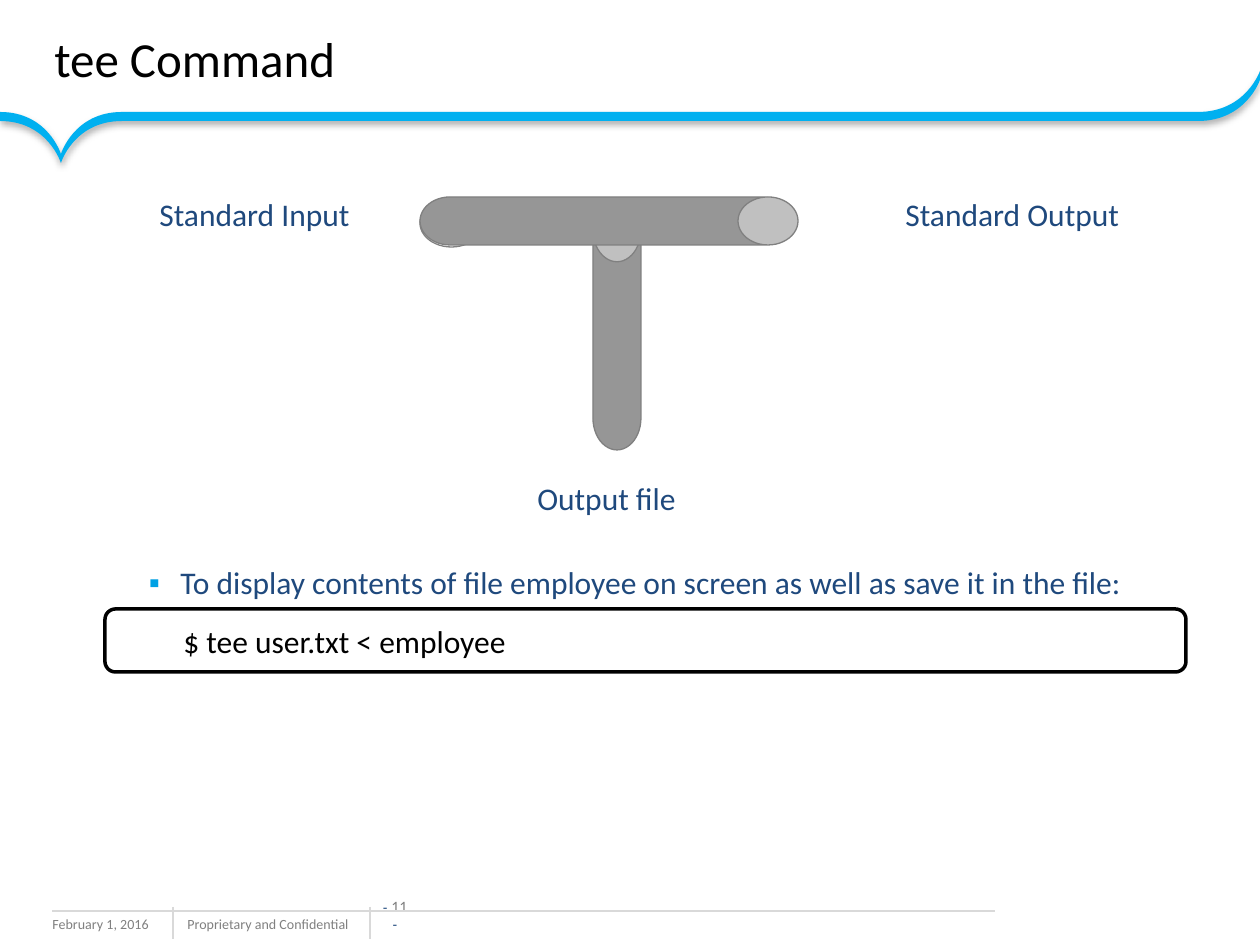
from lxml import etree
from pptx import Presentation
from pptx import util as u
from pptx.dml.color import RGBColor
from pptx.enum import shapes, text
from pptx.oxml.ns import qn

PX = 914400 / 126
THEME = {
    "black": "000000", "white": "FFFFFF", "navy": "1F497D", "sky": "00B0F0",
    "bullet": "00A1E4", "gray": "808080", "rule": "D9D9D9", "pipe": "969696",
    "title": 28, "body": 18, "page": 9, "footer": 8,
}
INDENT = 63


def px(*lengths):
    return [u.Emu(round(length * PX)) for length in lengths]


def write(shape, runs, anchor=text.MSO_ANCHOR.TOP, indent=0):
    """Fill a shape's first paragraph; each run is (words, size, colour, font)."""
    frame = shape.text_frame
    frame.word_wrap = True
    frame.vertical_anchor = anchor
    paragraph = frame.paragraphs[0]
    paragraph.alignment = text.PP_ALIGN.LEFT
    if indent:
        paragraph._p.get_or_add_pPr().set("marL", str(px(indent)[0]))
    for words, size, color, font in runs:
        run = paragraph.add_run()
        run.text = words
        run.font.name = font
        run.font.size = u.Pt(THEME[size])
        run.font.color.rgb = RGBColor.from_string(THEME[color])
    return paragraph


presentation = Presentation()
presentation.slide_width, presentation.slide_height = px(1260, 945)
slide = presentation.slides.add_slide(presentation.slide_layouts[6])
canvas = slide.shapes

# Footer
for words, left, width in [("February 1, 2016", 40, 168),
                           ("Proprietary and Confidential", 175, 198)]:
    box = canvas.add_textbox(*px(left, 909, width, 31))
    write(box, [(words, "footer", "gray", "Calibri")])

page = canvas.add_textbox(*px(379, 913, 32, 19))
frame = page.text_frame
frame.margin_left = frame.margin_right = frame.margin_top = frame.margin_bottom = 0
paragraph = write(page, [("- ", "footer", "navy", "Arial"),
                         ("11 ", "page", "gray", "Calibri"),
                         ("-", "footer", "navy", "Arial")], text.MSO_ANCHOR.BOTTOM)
paragraph.alignment = text.PP_ALIGN.CENTER

for ends in [(173, 907, 173, 939), (370, 907, 370, 939), (995, 911, 52, 911)]:
    rule = canvas.add_connector(shapes.MSO_CONNECTOR.STRAIGHT, *px(*ends))
    rule.line.color.rgb = RGBColor.from_string(THEME["rule"])
    rule.line.width = u.Pt(0.75)
    etree.SubElement(rule._element.spPr, qn("a:effectLst"))

# Header ribbon: one curved edge from left to right, repeated lower down.
# Every three points after the first make one cubic curve.
THICKNESS = 9
edge = [(0, 112), (48, 112), (61, 154), (61, 154), (61, 154), (74, 112), (122, 112),
        (1198, 112), (1198, 112), (1198, 112), (1246, 112), (1260, 71), (1260, 71)]
lower = [(x, y + THICKNESS) for x, y in reversed(edge)]
outline = edge + [lower[0]] * 3 + lower[1:] + [edge[0]] * 3
points = [tuple(px(*point)) for point in outline]
builder = canvas.build_freeform(*points[0])
builder.add_line_segments(points[1:], close=True)
ribbon = builder.convert_to_shape()
segments = list(ribbon._element.iter(qn("a:lnTo")))
for first in range(0, len(segments), 3):
    curve = etree.Element(qn("a:cubicBezTo"))
    segments[first].addprevious(curve)
    for segment in segments[first:first + 3]:
        curve.append(segment[0])
        segment.getparent().remove(segment)
ribbon.fill.solid()
ribbon.fill.fore_color.rgb = RGBColor.from_string(THEME["sky"])
ribbon.line.fill.background()
ribbon.shadow.inherit = False
effects = ribbon._element.spPr.find(qn("a:effectLst"))
shadow = etree.SubElement(effects, qn("a:outerShdw"), blurRad=str(u.Pt(4)),
                          dist=str(u.Pt(2)), dir="5400000", algn="t", rotWithShape="0")
shadow_color = etree.SubElement(shadow, qn("a:srgbClr"), val=THEME["black"])
etree.SubElement(shadow_color, qn("a:alpha"), val="31000")

# Tee pipe with its labels
diagram = canvas.add_group_shape().shapes
kind = shapes.MSO_SHAPE
for preset, place, turn, cap in [(kind.OVAL, (420, 199, 63, 48), 0, None),
                                 (kind.CAN, (593, 198, 48, 252), 0, 1.33),
                                 (kind.CAN, (585, 32, 48, 378), 90, 1.25)]:
    pipe = diagram.add_shape(preset, *px(*place))
    pipe.shadow.inherit = False
    pipe.rotation = turn
    pipe.line.color.rgb = RGBColor.from_string(THEME["gray"])
    pipe.line.width = u.Pt(0.75)
    if cap:
        pipe.adjustments[0] = cap
        pipe.fill.solid()
        pipe.fill.fore_color.rgb = RGBColor.from_string(THEME["pipe"])
    else:
        pipe.fill.background()

for words, left, top, height in [("Standard Input", 84, 189, 50),
                                 ("Standard Output", 830, 189, 89),
                                 ("Output file", 462, 473, 50)]:
    label = diagram.add_textbox(*px(left, top, 305, height))
    write(label, [(words, "body", "navy", "Calibri")], indent=INDENT)

# Bullet, title and command
bullet = canvas.add_textbox(*px(105, 525, 1079, 215))
paragraph = write(bullet, [("To display contents of file employee on screen as well as "
                            "save it in the file:", "body", "navy", "Calibri")],
                  indent=INDENT)
paragraph.line_spacing = u.Pt(40)
properties = paragraph._p.get_or_add_pPr()
properties.set("indent", str(-px(INDENT / 2)[0]))
bullet_color = etree.SubElement(properties, qn("a:buClr"))
etree.SubElement(bullet_color, qn("a:srgbClr"), val=THEME["bullet"])
etree.SubElement(properties, qn("a:buFont"), typeface="Arial")
etree.SubElement(properties, qn("a:buChar"), char="▪")

title = canvas.add_textbox(*px(42, 3, 1134, 110))
write(title, [("tee Command", "title", "black", "Calibri")], text.MSO_ANCHOR.MIDDLE)

command = canvas.add_shape(kind.ROUNDED_RECTANGLE, *px(105, 609, 1081, 63))
command.shadow.inherit = False
command.fill.solid()
command.fill.fore_color.rgb = RGBColor.from_string(THEME["white"])
command.line.color.rgb = RGBColor.from_string(THEME["black"])
command.line.width = u.Pt(2)
write(command, [("$ tee user.txt < employee", "body", "black", "Calibri")],
      text.MSO_ANCHOR.MIDDLE, INDENT)

presentation.save("out.pptx")
